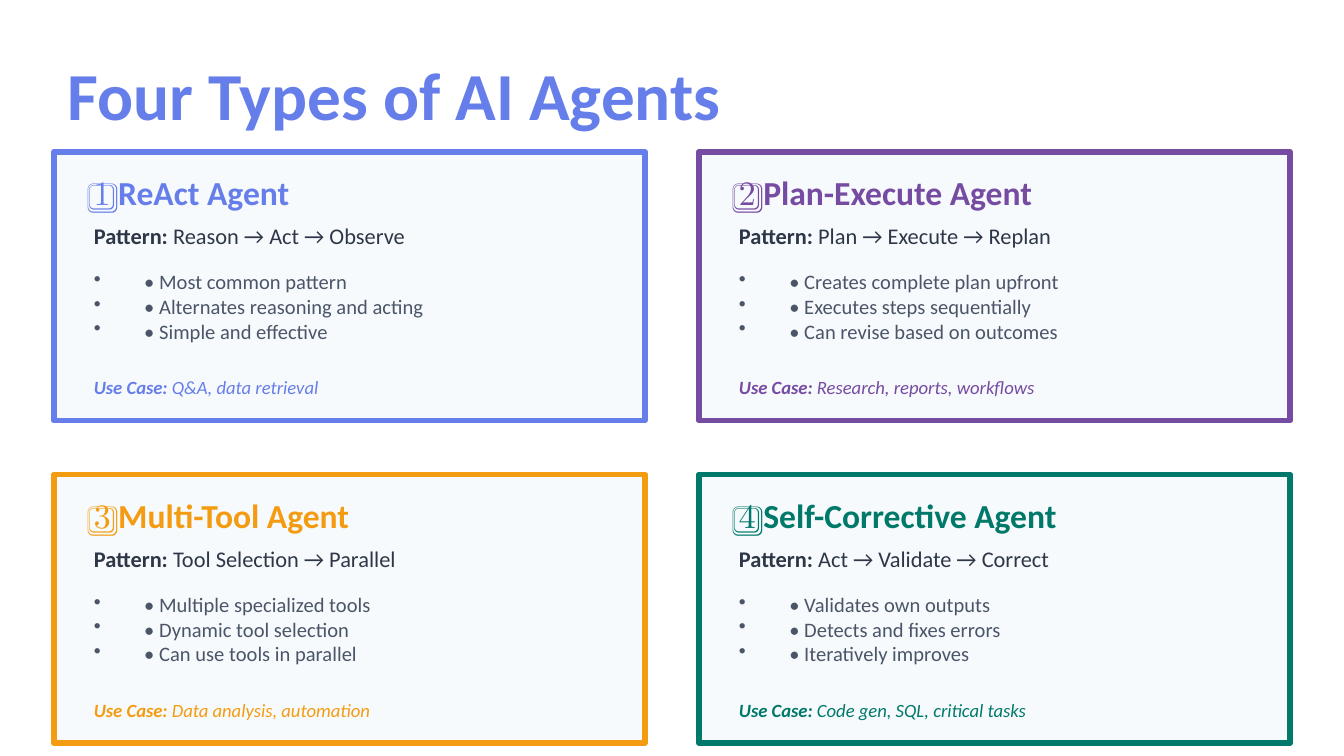
from dataclasses import dataclass

from lxml import etree
from pptx import Presentation
from pptx import util as u
from pptx.dml.color import RGBColor
from pptx.enum import shapes, text
from pptx.oxml.ns import qn

PX = 4572  # EMU per px, 200 px to the inch
FONT = "Calibri"
INDIGO, PURPLE, ORANGE, TEAL = "667EEA", "764BA2", "F39C12", "00796B"
PANEL, DARK, GRAY = "F7FAFC", "2D3748", "4A5568"

# Card grid
LEFT, TOP = 80, 226
CARD_WIDTH, CARD_HEIGHT, GAP = 880, 400, 80
PADDING = 40
BULLET_INDENT = 75


@dataclass
class Agent:
    name: str
    color: str
    pattern: str
    traits: list[str]
    use_case: str


AGENTS = [
    Agent("1️⃣ ReAct Agent", INDIGO, "Reason → Act → Observe",
          ["Most common pattern", "Alternates reasoning and acting", "Simple and effective"],
          "Q&A, data retrieval"),
    Agent("2️⃣ Plan-Execute Agent", PURPLE, "Plan → Execute → Replan",
          ["Creates complete plan upfront", "Executes steps sequentially",
           "Can revise based on outcomes"],
          "Research, reports, workflows"),
    Agent("3️⃣ Multi-Tool Agent", ORANGE, "Tool Selection → Parallel",
          ["Multiple specialized tools", "Dynamic tool selection", "Can use tools in parallel"],
          "Data analysis, automation"),
    Agent("4️⃣ Self-Corrective Agent", TEAL, "Act → Validate → Correct",
          ["Validates own outputs", "Detects and fixes errors", "Iteratively improves"],
          "Code gen, SQL, critical tasks"),
]


def px(length: int) -> u.Emu:
    return u.Emu(length * PX)


def rgb(color: str) -> RGBColor:
    return RGBColor.from_string(color)


def style(span, size: int, color: str, bold: bool = False, italic: bool = False) -> None:
    span.font.name = FONT
    span.font.size = u.Pt(size)
    span.font.color.rgb = rgb(color)
    span.font.bold = bold
    span.font.italic = italic


def add_box(page, left: int, top: int, height: int):
    """Add a wrapped text box as wide as the inside of a card."""
    box = page.shapes.add_textbox(px(left), px(top), px(CARD_WIDTH - 2 * PADDING), px(height))
    frame = box.text_frame
    frame.word_wrap = True
    frame.vertical_anchor = text.MSO_ANCHOR.MIDDLE
    return frame


def add_labelled(para, label: str, value: str, size: int, color: str,
                 italic: bool = False) -> None:
    for words, bold in ((label, True), (value, False)):
        span = para.add_run()
        span.text = words
        style(span, size, color, bold, italic)


def add_bullet(para) -> None:
    properties = para._p.get_or_add_pPr()
    properties.set("marL", str(px(BULLET_INDENT)))
    properties.set("indent", str(-px(BULLET_INDENT)))
    etree.SubElement(properties, qn("a:buSzPct")).set("val", "100000")
    etree.SubElement(properties, qn("a:buChar")).set("char", "•")


def draw_card(page, agent: Agent, left: int, top: int) -> None:
    # Panel
    card = page.shapes.add_shape(shapes.MSO_SHAPE.RECTANGLE, px(left), px(top),
                                 px(CARD_WIDTH), px(CARD_HEIGHT))
    card.shadow.inherit = False
    card.fill.solid()
    card.fill.fore_color.rgb = rgb(PANEL)
    card.line.color.rgb = rgb(agent.color)
    card.line.width = u.Pt(3)

    # Heading and pattern
    inner = left + PADDING
    heading = add_box(page, inner, top + 30, 60).paragraphs[0]
    heading.text = agent.name
    style(heading.runs[0], 18, agent.color, bold=True)
    pattern = add_box(page, inner, top + 100, 50).paragraphs[0]
    add_labelled(pattern, "Pattern: ", agent.pattern, 12, DARK)

    # Traits
    frame = add_box(page, inner, top + 160, 140)
    frame.text = "\n".join(f"• {trait}" for trait in agent.traits)
    for para in frame.paragraphs:
        add_bullet(para)
        style(para.runs[0], 11, GRAY)

    # Use case
    use_case = add_box(page, inner, top + 320, 60).paragraphs[0]
    add_labelled(use_case, "Use Case: ", agent.use_case, 10, agent.color, italic=True)


def draw_title(page, words: str) -> None:
    title = page.shapes.title
    title.left, title.top, title.width, title.height = px(80), px(80), px(1840), px(120)
    frame = title.text_frame
    frame.text = words
    frame.auto_size = text.MSO_AUTO_SIZE.NONE
    frame.vertical_anchor = text.MSO_ANCHOR.MIDDLE
    para = frame.paragraphs[0]
    para.alignment = text.PP_ALIGN.LEFT
    style(para.runs[0], 36, INDIGO, bold=True)


def main() -> None:
    deck = Presentation()
    deck.slide_width, deck.slide_height = px(2000), px(1125)
    page = deck.slides.add_slide(deck.slide_layouts[5])
    draw_title(page, "Four Types of AI Agents")
    for index, agent in enumerate(AGENTS):
        row, column = divmod(index, 2)
        draw_card(page, agent, LEFT + column * (CARD_WIDTH + GAP),
                  TOP + row * (CARD_HEIGHT + GAP))
    deck.save("out.pptx")


if __name__ == "__main__":
    main()
